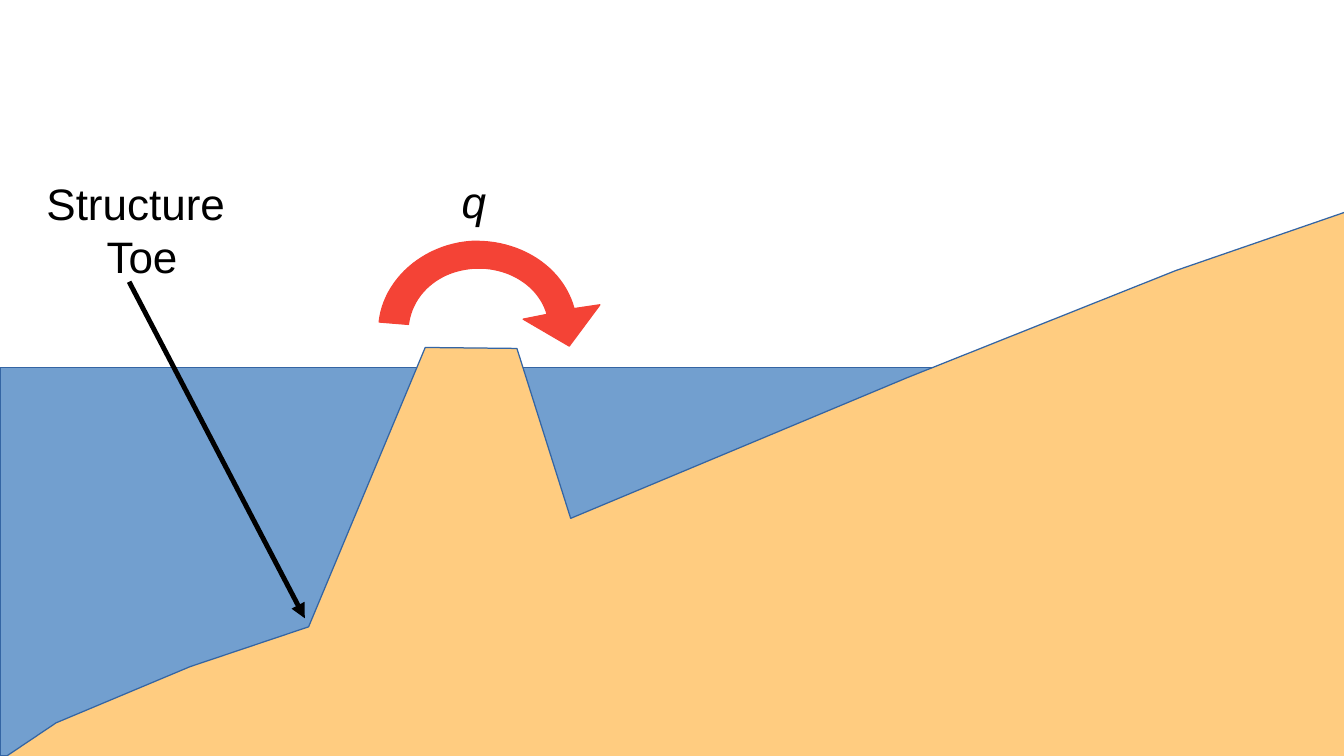
"""Draw a coastal structure in cross-section, with its toe and the overtopping flow q."""
from dataclasses import dataclass

from lxml.etree import SubElement
from pptx import Presentation
from pptx.dml.color import RGBColor
from pptx.enum.shapes import MSO_CONNECTOR as Connector, MSO_SHAPE as Preset
from pptx.enum.text import MSO_AUTO_SIZE as AutoSize, PP_ALIGN as Align
from pptx.oxml.ns import qn
from pptx.shapes.autoshape import Shape
from pptx.shapes.shapetree import SlideShapes
from pptx.util import Cm, Pt

Point = tuple[float, float]


@dataclass(frozen=True)
class Theme:
    """Colours and type of the slide."""
    water: RGBColor = RGBColor.from_string("729FCF")
    ground: RGBColor = RGBColor.from_string("FFCC80")
    outline: RGBColor = RGBColor.from_string("3465A4")
    flow: RGBColor = RGBColor.from_string("F44336")
    ink: RGBColor = RGBColor.from_string("000000")
    font: str = "Arial"
    label_size: Pt = Pt(26)
    pointer_width: Pt = Pt(2.89)


@dataclass(frozen=True)
class Label:
    """A text label and its box in centimetres."""
    lines: tuple[str, ...]
    box: tuple[float, float, float, float]
    align: Align = Align.LEFT
    italic: bool = False
    wrap: bool = True


@dataclass(frozen=True)
class Region:
    """A closed, filled outline in centimetres."""
    points: list[Point]
    fill: RGBColor
    line: RGBColor


def bezier(start: Point, pull: Point, push: Point, end: Point, steps: int = 24) -> list[Point]:
    """Return points along a cubic curve, both ends included."""
    curve = []
    for step in range(steps + 1):
        t = step / steps
        weights = ((1 - t) ** 3, 3 * t * (1 - t) ** 2, 3 * t ** 2 * (1 - t), t ** 3)
        curve.append(tuple(
            sum(w * c for w, c in zip(weights, axis))
            for axis in zip(start, pull, push, end)
        ))
    return curve


def paint(shape: Shape, fill: RGBColor, line: RGBColor) -> None:
    """Give a shape a flat fill and a hairline."""
    shape.shadow.inherit = False
    shape.fill.solid()
    shape.fill.fore_color.rgb = fill
    shape.line.color.rgb = line
    shape.line.width = Pt(0)


def draw_region(shapes: SlideShapes, region: Region) -> None:
    """Draw a closed outline."""
    start, *rest = [(Cm(x), Cm(y)) for x, y in region.points]
    builder = shapes.build_freeform(*start)
    builder.add_line_segments(rest, close=True)
    paint(builder.convert_to_shape(), region.fill, region.line)


def draw_label(shapes: SlideShapes, label: Label, theme: Theme) -> None:
    """Write a label, one paragraph a line."""
    frame = shapes.add_textbox(*map(Cm, label.box)).text_frame
    frame.word_wrap = label.wrap
    frame.auto_size = AutoSize.SHAPE_TO_FIT_TEXT
    frame.text = "\n".join(label.lines)
    for paragraph in frame.paragraphs:
        paragraph.alignment = label.align
        paragraph.font.name = theme.font
        paragraph.font.size = theme.label_size
        paragraph.font.italic = label.italic
        paragraph.font.color.rgb = theme.ink


def draw_pointer(shapes: SlideShapes, start: Point, end: Point, theme: Theme) -> None:
    """Draw a straight arrow from start to end."""
    pointer = shapes.add_connector(Connector.STRAIGHT, *map(Cm, start + end))
    pointer.line.color.rgb = theme.ink
    pointer.line.width = theme.pointer_width
    SubElement(pointer.line._get_or_add_ln(), qn("a:tailEnd"), type="triangle")
    SubElement(pointer._element.spPr, qn("a:effectLst"))


THEME = Theme()

GROUND = Region(
    [(-0.84, 16.41), (1.17, 15.06), (3.96, 13.89), (6.43, 13.06),
     (8.86, 7.24), (10.77, 7.26), (11.89, 10.8), (18.9, 7.87),
     (24.49, 5.64), (29.36, 3.96), (29.26, 16), (27.33, 17.53)],
    THEME.ground, THEME.outline,
)

OVERTOPPING = Region(
    bezier((11.4, 6.55), (11.23, 5.94), (10.57, 5.54), (9.86, 5.59))
    + bezier((9.86, 5.59), (9.14, 5.64), (8.59, 6.12), (8.51, 6.76))[1:]
    + bezier((7.9, 6.71), (8, 5.82), (8.81, 5.11), (9.8, 5.03))
    + bezier((9.8, 5.03), (10.82, 4.98), (11.73, 5.56), (11.96, 6.43))[1:]
    + [(12.5, 6.35), (11.86, 7.21), (10.9, 6.65)],
    THEME.flow, THEME.flow,
)

LABELS = (
    Label(("Structure ", "Toe"), (0.71, 3.56, 4.5, 2.31), align=Align.CENTER, wrap=False),
    Label(("q",), (9.37, 3.51, 1.5, 1.98), italic=True),
)


def main() -> None:
    """Build and save the slide."""
    deck = Presentation()
    deck.slide_width, deck.slide_height = Cm(28), Cm(15.75)
    shapes = deck.slides.add_slide(deck.slide_layouts[6]).shapes

    water = shapes.add_shape(Preset.RECTANGLE, Cm(0), Cm(7.65), Cm(29.03), Cm(8.1))
    paint(water, THEME.water, THEME.outline)
    for region in (GROUND, OVERTOPPING):
        draw_region(shapes, region)
    draw_pointer(shapes, (2.69, 5.87), (6.35, 12.88), THEME)
    for label in LABELS:
        draw_label(shapes, label, THEME)

    deck.save("out.pptx")


if __name__ == "__main__":
    main()
